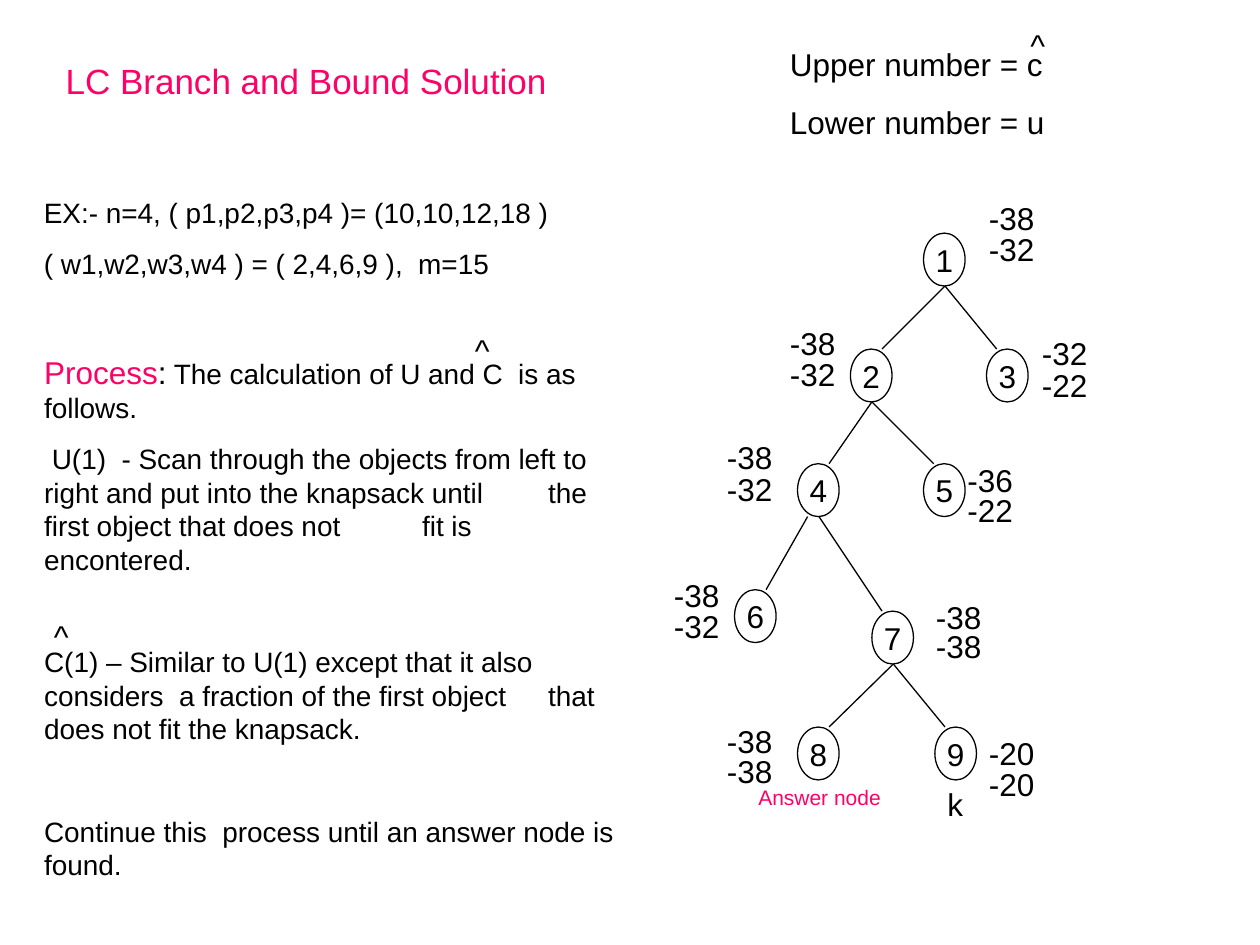
"""Build the slide that solves a knapsack example with LC branch and bound."""
from dataclasses import dataclass
from typing import Optional

from lxml.etree import SubElement
from pptx import Presentation
from pptx.dml.color import RGBColor
from pptx.enum.shapes import MSO_CONNECTOR as Connector, MSO_SHAPE as Preset
from pptx.enum.text import MSO_ANCHOR as Anchor, MSO_AUTO_SIZE as AutoSize, PP_ALIGN as Align
from pptx.oxml.ns import qn
from pptx.util import Inches, Pt

COLORS = {"ink": "000000", "accent": "FF0066", "paper": "FFFFFF"}
FONT = "Arial"
NODE_WIDTH, NODE_HEIGHT = 0.33, 0.42
NODE_CENTER = 0.17
LEFT_CHILD_END, RIGHT_CHILD_END = 0.25, 0.08
SECTION_GAP = 39.3


@dataclass(frozen=True)
class Node:
    """A tree node with its bounds and the edge from its parent."""
    left: float
    top: float
    bounds: tuple[int, int]
    bounds_left: float
    bounds_top: float
    bounds_gap: float = 0.25
    parent: Optional[int] = None
    edge_start: float = NODE_CENTER


@dataclass(frozen=True)
class Note:
    """A free text box of one or more paragraphs."""
    lines: tuple[str, ...]
    left: float
    top: float
    width: float
    height: float = 0.4
    size: float = 18
    color: str = "ink"


@dataclass(frozen=True)
class Step:
    """A body paragraph, given as runs of text, size and colour."""
    runs: tuple[tuple[str, float, str], ...]
    space_before: float = 10


NODES = {
    1: Node(7.33, 1.85, (-38, -32), 7.75, 1.53),
    2: Node(6.75, 2.77, (-38, -32), 6.17, 2.52, parent=1),
    3: Node(7.83, 2.77, (-32, -22), 8.17, 2.6, 0.26, parent=1),
    4: Node(6.33, 3.68, (-38, -32), 5.67, 3.43, parent=2),
    5: Node(7.33, 3.68, (-36, -22), 7.58, 3.61, 0.24, parent=2),
    6: Node(5.83, 4.68, (-38, -32), 5.25, 4.52, parent=4, edge_start=0.08),
    7: Node(6.92, 4.85, (-38, -38), 7.33, 4.7, 0.23, parent=4),
    8: Node(6.33, 5.77, (-38, -38), 5.67, 5.68, 0.24, parent=7),
    9: Node(7.42, 5.77, (-20, -20), 7.75, 5.78, 0.24, parent=7),
}
NOTES = (
    Note(("Upper number = c", "Lower number = u"), 6.17, 0.31, 2.25, 0.86),
    Note(("^",), 8.08, 0.16, 0.42),
    Note(("^",), 3.67, 2.58, 0.42),
    Note(("^",), 0.33, 4.85, 0.42),
    Note(("k",), 7.42, 6.18, 0.5),
    Note(("Answer node",), 5.92, 6.18, 1.25, 0.3, 12, "accent"),
    Note(("EX:- n=4, ( p1,p2,p3,p4 )= (10,10,12,18 )",
          "( w1,w2,w3,w4 ) = ( 2,4,6,9 ),  m=15"), 0.25, 1.5, 4.58, 0.77, 16),
)
STEPS = (
    Step((("Process", 18, "accent"), (":", 18, "ink"),
          (" The calculation of U and C  is as \tfollows.", 16, "ink"))),
    Step(((" U(1)  - Scan through the objects from left to \tright and put into the "
           "knapsack until \tthe first object that does not \tfit is\nencontered.", 16, "ink"),)),
    Step((("C(1) – Similar to U(1) except that it also \tconsiders  a fraction of the "
           "first object \tthat does not fit the knapsack.", 16, "ink"),), SECTION_GAP),
    Step((("Continue this  process until an answer node is found.", 16, "ink"),), SECTION_GAP),
)


def rgb(name: str) -> RGBColor:
    """Return a named colour."""
    return RGBColor.from_string(COLORS[name])


def set_font(font, size: float, color: str) -> None:
    """Apply the slide font to a paragraph or run."""
    font.name, font.size = FONT, Pt(size)
    font.color.rgb = rgb(color)


def place(shape, left: float, top: float, width: float, height: float) -> None:
    """Move and size a shape in inches."""
    shape.left, shape.top = Inches(left), Inches(top)
    shape.width, shape.height = Inches(width), Inches(height)


def draw_note(slide, note: Note) -> None:
    """Draw a text box."""
    box = slide.shapes.add_textbox(*map(Inches, (note.left, note.top, note.width, note.height)))
    frame = box.text_frame
    frame.word_wrap = True
    frame.text = "\n".join(note.lines)
    for para in frame.paragraphs:
        para.space_before = Pt(note.size * 0.625)
        set_font(para.font, note.size, note.color)


def draw_node(slide, number: int, node: Node) -> None:
    """Draw a numbered ellipse with its two bounds."""
    oval = slide.shapes.add_shape(
        Preset.OVAL, *map(Inches, (node.left, node.top, NODE_WIDTH, NODE_HEIGHT)))
    oval.shadow.inherit = False
    oval.fill.solid()
    oval.fill.fore_color.rgb = rgb("paper")
    oval.line.color.rgb = rgb("ink")
    oval.line.width = Pt(0.75)
    frame = oval.text_frame
    frame.word_wrap = False
    frame.vertical_anchor = Anchor.MIDDLE
    para = frame.paragraphs[0]
    para.text = str(number)
    para.alignment = Align.CENTER
    set_font(para.font, 18, "ink")
    for row, bound in enumerate(node.bounds):
        top = node.bounds_top + row * node.bounds_gap
        draw_note(slide, Note((str(bound),), node.bounds_left, top, 0.58))


def draw_edge(slide, parent: Node, child: Node) -> None:
    """Draw the line from a parent down to a child."""
    end = LEFT_CHILD_END if child.left < parent.left else RIGHT_CHILD_END
    edge = slide.shapes.add_connector(
        Connector.STRAIGHT,
        Inches(parent.left + child.edge_start), Inches(parent.top + NODE_HEIGHT),
        Inches(child.left + end), Inches(child.top))
    edge.line.color.rgb = rgb("ink")
    edge.line.width = Pt(0.75)
    SubElement(edge._element.spPr, qn("a:effectLst"))


def fill_title(title) -> None:
    """Write the slide title."""
    place(title, 0.42, 0.42, 4.5, 0.44)
    frame = title.text_frame
    frame.auto_size = AutoSize.NONE
    frame.vertical_anchor = Anchor.TOP
    para = frame.paragraphs[0]
    para.text = "LC Branch and Bound Solution"
    para.alignment = Align.LEFT
    set_font(para.font, 20, "accent")


def format_step(para, space_before: float) -> None:
    """Remove the bullet and set one-inch tab stops and the base font."""
    para.space_before = Pt(space_before)
    properties = para._p.get_or_add_pPr()
    for name, value in (("marL", 0), ("indent", 0), ("defTabSz", Inches(1))):
        properties.set(name, str(value))
    SubElement(properties, qn("a:buNone"))
    tabs = SubElement(properties, qn("a:tabLst"))
    for stop in range(1, 8):
        SubElement(tabs, qn("a:tab"), pos=str(Inches(stop)), algn="l")
    set_font(para.font, 16, "ink")


def fill_body(body) -> None:
    """Write the process steps."""
    place(body, 0.25, 2.75, 4.92, 4.3)
    frame = body.text_frame
    frame.auto_size = AutoSize.NONE
    for index, step in enumerate(STEPS):
        para = frame.add_paragraph() if index else frame.paragraphs[0]
        format_step(para, step.space_before)
        for text, size, color in step.runs:
            for row, line in enumerate(text.split("\n")):
                if row:
                    para.add_line_break()
                span = para.add_run()
                span.text = line
                set_font(span.font, size, color)


def main() -> None:
    """Build and save the deck."""
    deck = Presentation()
    deck.slide_width, deck.slide_height = Inches(10), Inches(7.5)
    page = deck.slides.add_slide(deck.slide_layouts[1])
    fill_title(page.shapes.title)
    fill_body(page.placeholders[1])
    for number, node in NODES.items():
        draw_node(page, number, node)
        if node.parent:
            draw_edge(page, NODES[node.parent], node)
    for note in NOTES:
        draw_note(page, note)
    deck.save("out.pptx")


if __name__ == "__main__":
    main()
